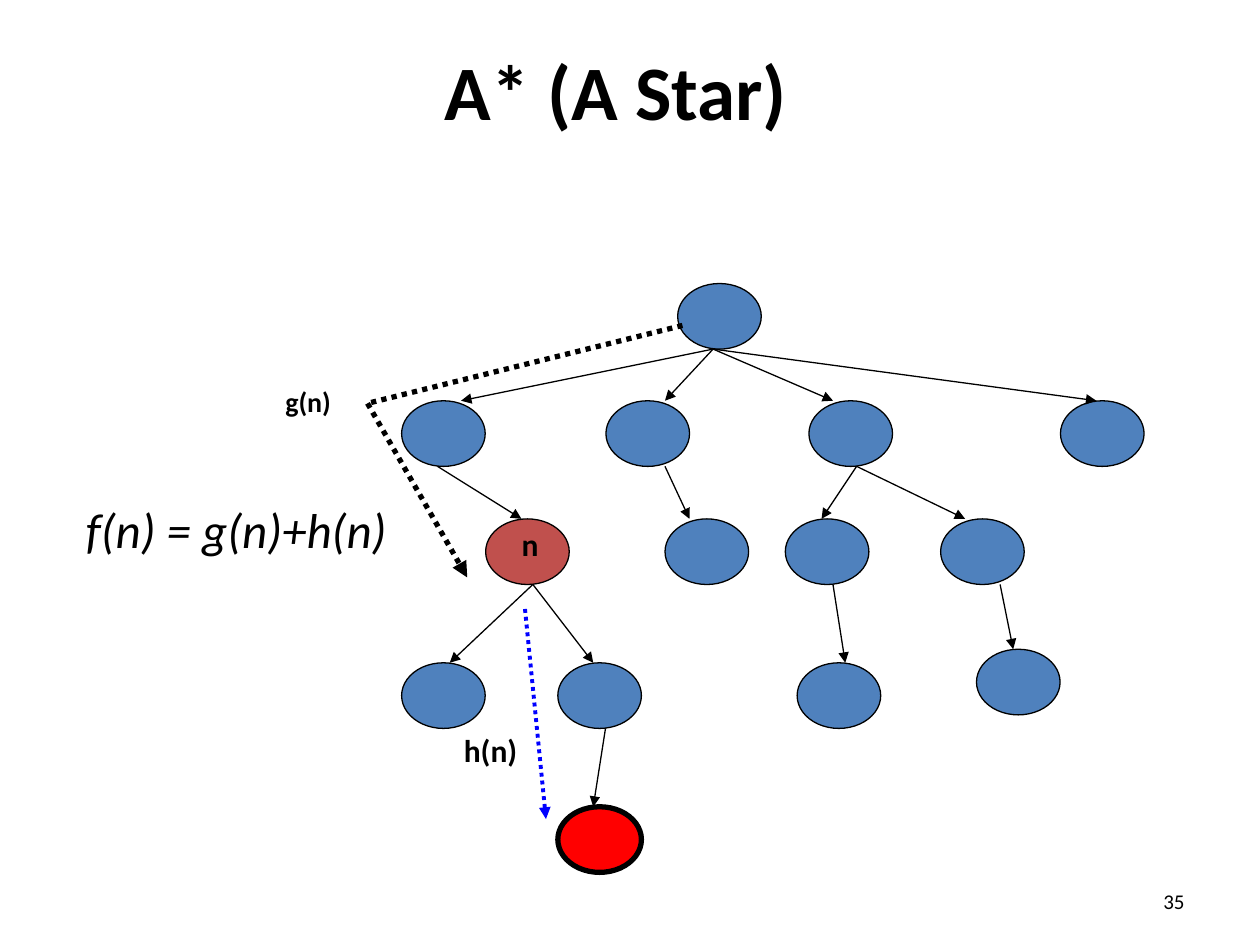
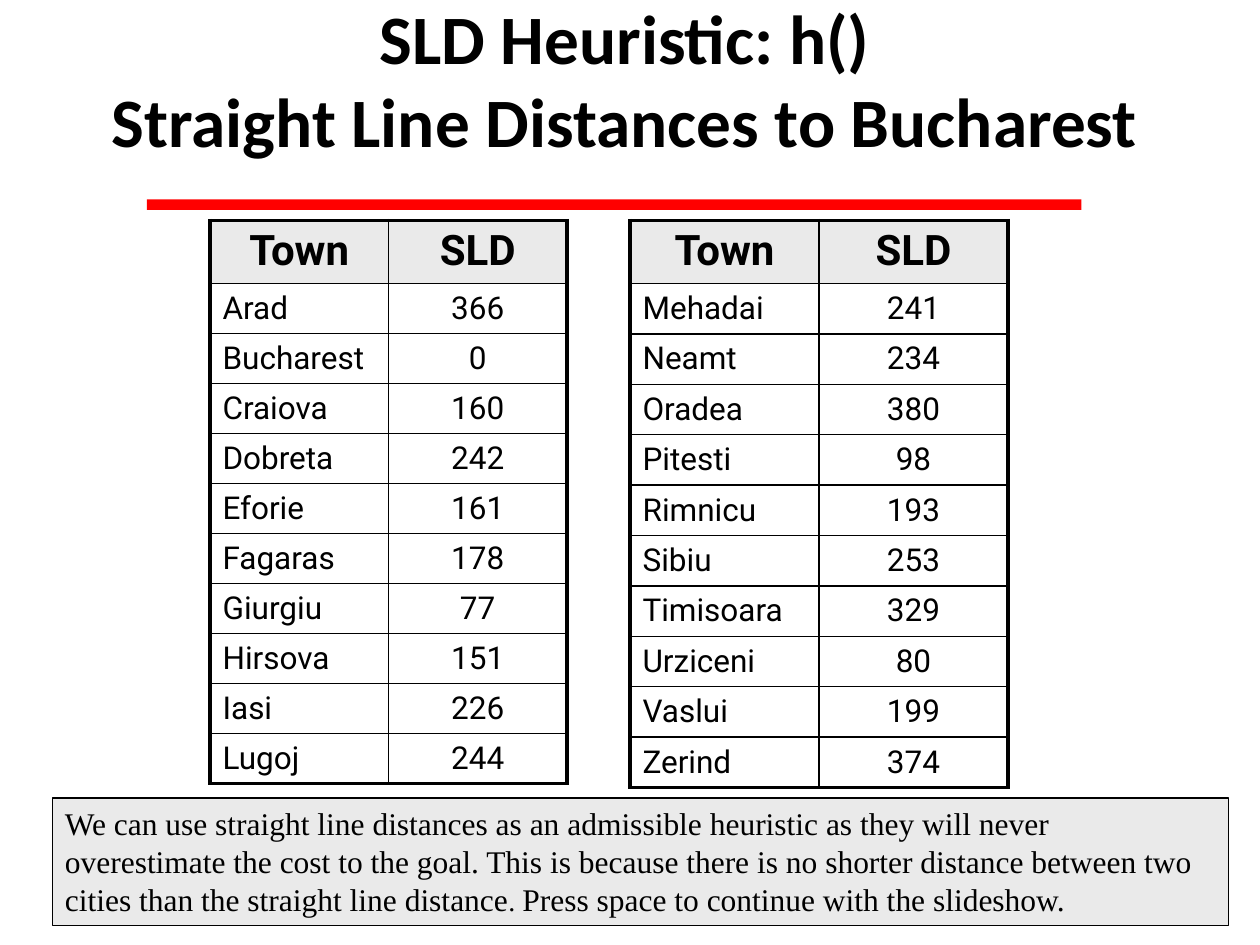
from dataclasses import dataclass

from lxml.etree import SubElement
from pptx import Presentation
from pptx.dml.color import RGBColor
from pptx.enum.dml import MSO_LINE_DASH_STYLE as Dash
from pptx.enum.shapes import MSO_CONNECTOR as Conn, MSO_SHAPE as Shape
from pptx.enum.text import MSO_ANCHOR as Anchor, MSO_AUTO_SIZE as AutoSize, PP_ALIGN as Align
from pptx.oxml.ns import qn
from pptx.util import Pt

COLORS = {
    "ink": "000000",
    "node": "4F81BD",
    "current": "C0504D",
    "red": "FF0000",
    "estimate": "0000FF",
    "shade": "EAEAEA",
}
LEVEL_TOPS = (162, 229, 296.5, 378.75, 461)
NODE_W, NODE_H = 47.75, 37.5
THIN, THICK = 1, 2.25


@dataclass(frozen=True)
class Node:
    left: float
    level: int
    fill: str = "node"
    border: float = 0.75
    rise: float = 0


@dataclass(frozen=True)
class Edge:
    level: int
    start_x: float
    end_x: float
    rise: float = 0


@dataclass(frozen=True)
class Path:
    start: tuple[float, float]
    end: tuple[float, float]
    color: str = "ink"
    weight: float = 0.75
    dotted: bool = False
    arrow: bool = True


@dataclass(frozen=True)
class Style:
    size: float
    font: str = "Calibri"
    bold: bool = False
    italic: bool = False


@dataclass(frozen=True)
class Label:
    text: str
    box: tuple[float, float, float, float]
    style: Style
    align: Align = Align.LEFT
    anchor: Anchor = Anchor.TOP


@dataclass(frozen=True)
class DistanceTable:
    left: float
    col_width: float
    row_height: float
    towns: dict[str, int]


NODES = (
    Node(387.25, 0),
    Node(229.5, 1), Node(346.25, 1), Node(606, 1), Node(462.25, 1),
    Node(277.5, 2, "current"), Node(380, 2), Node(448.75, 2), Node(537.5, 2),
    Node(229.5, 3), Node(318.75, 3), Node(455.5, 3), Node(558, 3, rise=7.75),
    Node(318.75, 4, "red", 3),
)
EDGES = (
    Edge(0, 407.5, 263.5), Edge(0, 407.5, 380), Edge(0, 407.5, 476), Edge(0, 407.5, 626.5),
    Edge(1, 250, 298), Edge(1, 380, 394), Edge(1, 489.5, 469.5), Edge(1, 489.5, 551.5),
    Edge(2, 304.5, 257), Edge(2, 304.5, 339), Edge(2, 476, 483), Edge(2, 571.5, 579, 7.75),
    Edge(3, 346, 339),
)
COST_PATHS = (
    Path((390, 186), (210, 230.5), weight=3, dotted=True, arrow=False),
    Path((210, 230.5), (267, 330), weight=3, dotted=True),
    Path((300, 348), (312, 468), "estimate", 2.25, dotted=True),
)
LABELS = (
    Label("n", (291, 296.5, 34, 29), Style(18, bold=True)),
    Label("g(n)", (156, 216, 72, 26.5), Style(16, bold=True)),
    Label("h(n)", (258, 414, 72, 29), Style(18, bold=True)),
    Label("f(n) = g(n)+h(n)", (42, 282, 210, 41), Style(28, italic=True)),
    Label("35", (516, 500.5, 168, 28.75), Style(12), Align.RIGHT, Anchor.MIDDLE),
)
TABLES = (
    DistanceTable(120, 102, 28.6, {
        "Arad": 366, "Bucharest": 0, "Craiova": 160, "Dobreta": 242, "Eforie": 161,
        "Fagaras": 178, "Giurgiu": 77, "Hirsova": 151, "Iasi": 226, "Lugoj": 244,
    }),
    DistanceTable(360, 108, 28.8, {
        "Mehadai": 241, "Neamt": 234, "Oradea": 380, "Pitesti": 98, "Rimnicu": 193,
        "Sibiu": 253, "Timisoara": 329, "Urziceni": 80, "Vaslui": 199, "Zerind": 374,
    }),
)
NOTE = (
    ("We can use straight line distances as an admissible heuristic as they will never "
     "overestimate the cost to the goal. This is because there is no shorter distance "
     "between two cities than the straight line distance", 18),
    (". ", 16),
    ("Press space to continue with the slideshow.", 18),
)


def rgb(name: str) -> RGBColor:
    return RGBColor.from_string(COLORS[name])


def add_run(p, text: str, style: Style) -> None:
    r = p.add_run()
    r.text = text
    r.font.name = style.font
    r.font.size = Pt(style.size)
    r.font.bold = style.bold
    r.font.italic = style.italic
    r.font.color.rgb = rgb("ink")


def add_slide(prs, lines: tuple[str, ...], size: float, top: float, bottom_inset: float = 3.6):
    slide = prs.slides.add_slide(prs.slide_layouts[5])
    title = slide.shapes.title
    title.left, title.top, title.width, title.height = Pt(6), Pt(top), Pt(702), Pt(90)
    tf = title.text_frame
    tf.auto_size = AutoSize.NONE
    tf.word_wrap = True
    tf.vertical_anchor = Anchor.MIDDLE
    tf.margin_bottom = Pt(bottom_inset)
    p = tf.paragraphs[0]
    p.alignment = Align.CENTER
    for i, line in enumerate(lines):
        if i:
            p.add_line_break()
        add_run(p, line, Style(size, bold=True))
    return slide


def add_shape(slide, kind: Shape, box: tuple[float, ...], fill: str, border: float = 0):
    sp = slide.shapes.add_shape(kind, *map(Pt, box))
    sp.shadow.inherit = False
    sp.fill.solid()
    sp.fill.fore_color.rgb = rgb(fill)
    if border:
        sp.line.color.rgb = rgb("ink")
        sp.line.width = Pt(border)
    else:
        sp.line.fill.background()
    return sp


def add_path(slide, path: Path) -> None:
    line = slide.shapes.add_connector(Conn.STRAIGHT, *map(Pt, path.start + path.end))
    line.line.color.rgb = rgb(path.color)
    line.line.width = Pt(path.weight)
    if path.dotted:
        line.line.dash_style = Dash.ROUND_DOT
    if path.arrow:
        SubElement(line.line._get_or_add_ln(), qn("a:tailEnd"), type="triangle")
    SubElement(line._element.spPr, qn("a:effectLst"))


def add_label(slide, label: Label) -> None:
    tf = slide.shapes.add_textbox(*map(Pt, label.box)).text_frame
    tf.word_wrap = True
    tf.vertical_anchor = label.anchor
    p = tf.paragraphs[0]
    p.alignment = label.align
    add_run(p, label.text, label.style)


def set_borders(cell, widths: dict[str, float]) -> None:
    tc_pr = cell._tc.get_or_add_tcPr()
    for side, width in widths.items():
        ln = SubElement(tc_pr, qn(f"a:ln{side}"), w=str(Pt(width)))
        fill = SubElement(ln, qn("a:solidFill"))
        SubElement(fill, qn("a:srgbClr"), val=COLORS["ink"])


def add_distance_table(slide, spec: DistanceTable) -> None:
    rows = [("Town", "SLD"), *spec.towns.items()]
    last = len(rows) - 1
    heights = [36] + [spec.row_height] * last
    frame = slide.shapes.add_table(len(rows), 2, Pt(spec.left), Pt(126),
                                   Pt(2 * spec.col_width), Pt(sum(heights)))
    table = frame.table
    table.first_row = table.horz_banding = False
    for col in table.columns:
        col.width = Pt(spec.col_width)
    for i, values in enumerate(rows):
        table.rows[i].height = Pt(heights[i])
        for j, value in enumerate(values):
            cell = table.cell(i, j)
            header = i == 0
            set_borders(cell, {
                "L": THIN if j else THICK,
                "R": THICK if j else THIN,
                "T": THICK if header else THIN,
                "B": THICK if i == last else THIN,
            })
            if header:
                cell.fill.solid()
                cell.fill.fore_color.rgb = rgb("shade")
            else:
                cell.fill.background()
            cell.vertical_anchor = Anchor.TOP if header else Anchor.MIDDLE
            p = cell.text_frame.paragraphs[0]
            p.alignment = Align.CENTER if header or j else Align.LEFT
            add_run(p, str(value), Style(24 if header else 18, "Roboto", bold=header))


def build_search_tree(prs) -> None:
    slide = add_slide(prs, ("A* (A Star) ",), 44, 6)
    for node in NODES:
        box = (node.left, LEVEL_TOPS[node.level] - node.rise, NODE_W, NODE_H)
        add_shape(slide, Shape.OVAL, box, node.fill, node.border)
    for edge in EDGES:
        start = (edge.start_x, LEVEL_TOPS[edge.level] + NODE_H)
        end = (edge.end_x, LEVEL_TOPS[edge.level + 1] - edge.rise)
        add_path(slide, Path(start, end))
    for path in COST_PATHS:
        add_path(slide, path)
    for label in LABELS:
        add_label(slide, label)


def build_distances(prs) -> None:
    lines = ("SLD Heuristic: h()", "Straight Line Distances to Bucharest")
    slide = add_slide(prs, lines, 39.6, 24, bottom_inset=52.5)
    add_shape(slide, Shape.RECTANGLE, (84, 114, 534, 6), "red")
    for spec in TABLES:
        add_distance_table(slide, spec)
    note = add_shape(slide, Shape.RECTANGLE, (30, 456, 672, 72.75), "shade", 0.75)
    tf = note.text_frame
    tf.word_wrap = True
    tf.vertical_anchor = Anchor.TOP
    p = tf.paragraphs[0]
    p.alignment = Align.LEFT
    for text, size in NOTE:
        add_run(p, text, Style(size, "Times New Roman"))


def main() -> None:
    prs = Presentation()
    prs.slide_width, prs.slide_height = Pt(720), Pt(540)
    build_search_tree(prs)
    build_distances(prs)
    prs.save("out.pptx")


if __name__ == "__main__":
    main()
